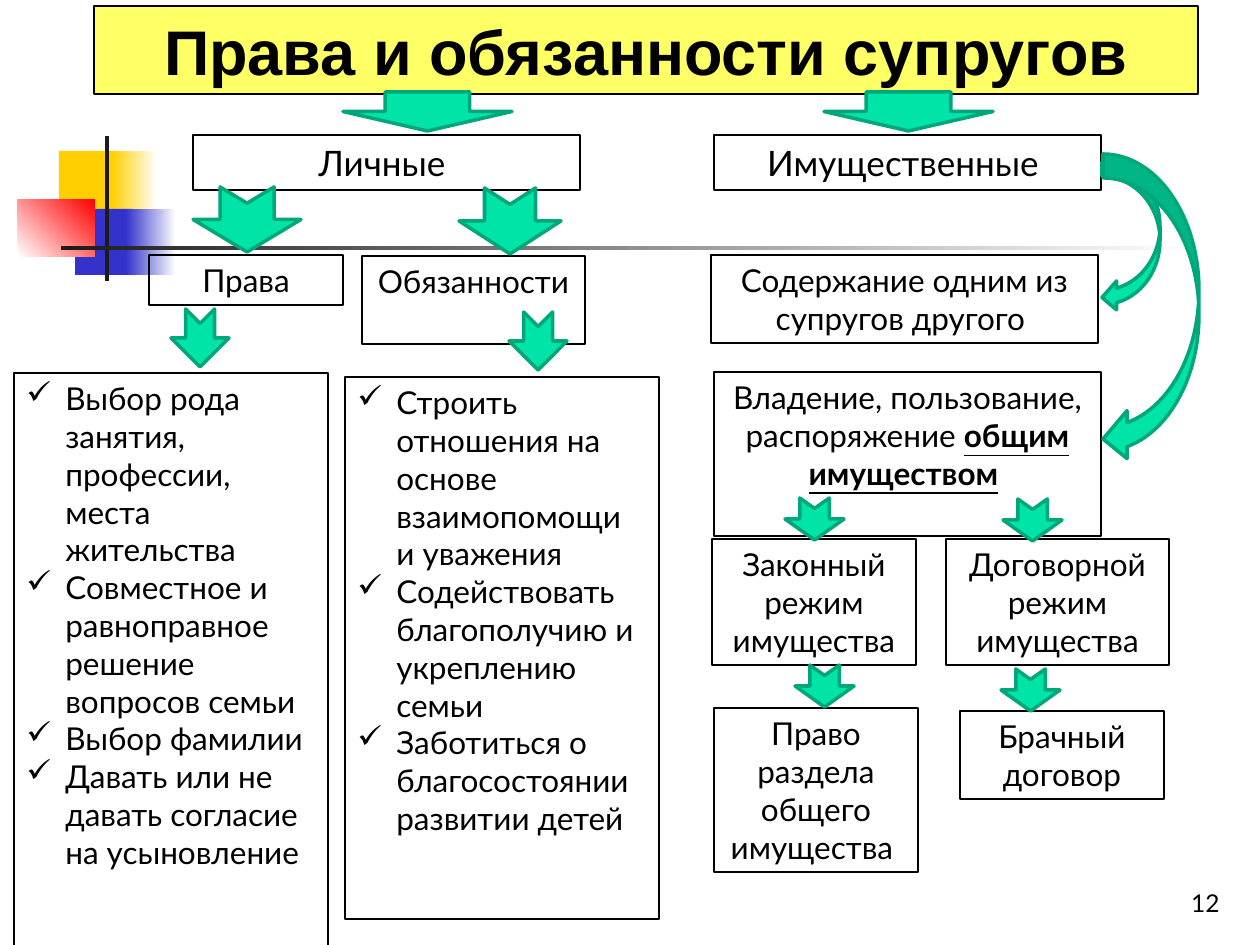
from dataclasses import dataclass

from lxml.etree import SubElement
from pptx import Presentation
from pptx.dml.color import RGBColor
from pptx.enum.shapes import MSO_SHAPE
from pptx.enum.text import MSO_ANCHOR, PP_ALIGN
from pptx.oxml.ns import qn
from pptx.util import Pt

EMU_PER_PX = 914400 / 126


@dataclass(frozen=True)
class Theme:
    ink: str = "000000"
    paper: str = "FFFFFF"
    banner: str = "FFFF66"
    arrow: str = "00E4A8"
    arrow_edge: str = "00A77A"
    yellow: str = "FFCF01"
    blue: str = "3333CC"
    red: str = "FF0000"
    bar: str = "1C1C1C"
    title_font: str = "Arial"
    body_font: str = "Lato"
    title_size: int = 36
    header_size: int = 20
    body_size: int = 18
    number_size: int = 14
    title_edge: float = 0.75
    box_edge: float = 1.5
    arrow_line: float = 2


THEME = Theme()


@dataclass(frozen=True)
class Box:
    left: int
    top: int
    width: int
    height: int

    def inner(self, left, top, width, height):
        return Box(self.left + left, self.top + top, width, height)

    def emu(self):
        return [emu(side) for side in (self.left, self.top, self.width, self.height)]


def emu(px):
    return round(px * EMU_PER_PX)


def color(code):
    return RGBColor.from_string(code)


def add_plain(page, box, kind=MSO_SHAPE.RECTANGLE, fill=None, edge=None, weight=1.5):
    shape = page.shapes.add_shape(kind, *box.emu())
    shape.shadow.inherit = False
    if fill:
        shape.fill.solid()
        shape.fill.fore_color.rgb = color(fill)
    else:
        shape.fill.background()
    if edge:
        shape.line.color.rgb = color(edge)
        shape.line.width = Pt(weight)
    else:
        shape.line.fill.background()
    return shape


def add_fade(page, box, start, end, angle=0):
    """Rectangle with a two-colour gradient; the angle runs counter-clockwise."""
    fill = add_plain(page, box).fill
    fill.gradient()
    fill.gradient_angle = angle
    for stop, code in zip(fill.gradient_stops, (start, end)):
        stop.color.rgb = color(code)


def style_para(para, size, font=THEME.body_font, align=PP_ALIGN.CENTER, bold=False):
    para.alignment = align
    for span in para.runs:
        span.font.name = font
        span.font.size = Pt(size)
        span.font.bold = bold
        span.font.color.rgb = color(THEME.ink)


def add_label(page, box, text, size=THEME.body_size):
    shape = add_plain(page, box, edge=THEME.ink, weight=THEME.box_edge)
    frame = shape.text_frame
    frame.word_wrap = True
    frame.vertical_anchor = MSO_ANCHOR.TOP
    frame.text = text
    for para in frame.paragraphs:
        style_para(para, size)
    return frame


def add_checklist(page, box, items):
    frame = add_label(page, box, "\n".join(items))
    for para in frame.paragraphs:
        para.alignment = PP_ALIGN.LEFT
        props = para._p.get_or_add_pPr()
        props.set("marL", str(emu(39)))
        props.set("indent", str(-emu(39)))
        tint = SubElement(props, qn("a:buClr"))
        SubElement(tint, qn("a:srgbClr"), val=THEME.ink)
        SubElement(props, qn("a:buChar"), char="✓")


def add_arrow(page, box, kind):
    return add_plain(page, box, kind, THEME.arrow, THEME.arrow_edge, THEME.arrow_line)


def add_turned_arrow(page, box, kind=MSO_SHAPE.NOTCHED_RIGHT_ARROW):
    """Arrow turned by a quarter so that it fills the given upright box."""
    shift = (box.width - box.height) / 2
    frame = Box(box.left + shift, box.top - shift, box.height, box.width)
    add_arrow(page, frame, kind).rotation = 90


def add_motif(page, box):
    for left, top, solid, fade, code in (
        (41, 15, 60, 45, THEME.yellow),
        (57, 73, 58, 50, THEME.blue),
    ):
        add_plain(page, box.inner(left, top, solid, 66), fill=code)
        add_fade(page, box.inner(left + solid - 7, top, fade, 66), code, THEME.paper)
    add_fade(page, box.inner(0, 63, 77, 58), THEME.paper, THEME.red, 45)
    add_plain(page, box.inner(87, 0, 4, 145), fill=THEME.bar)
    add_fade(page, box.inner(43, 110, 1134, 4), THEME.bar, THEME.paper)


def add_title(page, box):
    shape = add_plain(page, box, fill=THEME.banner, edge=THEME.ink, weight=THEME.title_edge)
    shape.text_frame.word_wrap = True
    shape.text_frame.vertical_anchor = MSO_ANCHOR.TOP
    shape.text_frame.text = "Права и обязанности супругов"
    style_para(shape.text_frame.paragraphs[0], THEME.title_size, THEME.title_font, bold=True)


def add_personal_branch(page, box):
    add_label(page, box.inner(179, 43, 387, 55), "Личные ", THEME.header_size)
    add_arrow(page, box.inner(329, 0, 169, 39), MSO_SHAPE.DOWN_ARROW)
    add_label(page, box.inner(135, 163, 194, 50), "Права")
    add_label(page, box.inner(348, 164, 223, 88), "Обязанности ")
    add_checklist(page, box.inner(0, 281, 314, 655), (
        "Выбор рода занятия, профессии, места жительства",
        "Совместное и равноправное решение вопросов семьи",
        "Выбор фамилии",
        "Давать или не давать согласие на усыновление",
    ))
    add_checklist(page, box.inner(331, 285, 314, 542), (
        "Строить отношения на основе взаимопомощи и уважения",
        "Содействовать благополучию и укреплению семьи",
        "Заботиться о благосостоянии развитии детей",
    ))
    for place in ((179, 95, 108, 65), (445, 96, 102, 66),
                  (157, 217, 58, 58), (495, 220, 58, 58)):
        add_turned_arrow(page, box.inner(*place))


def add_property_branch(page, box):
    add_label(page, box.inner(3, 43, 387, 55), "Имущественные ", THEME.header_size)
    add_arrow(page, box.inner(113, 0, 169, 39), MSO_SHAPE.DOWN_ARROW)
    add_label(page, box.inner(0, 163, 387, 88), "Содержание одним из супругов другого ")
    shared = add_label(page, box.inner(3, 280, 387, 164), "Владение, пользование, распоряжение ")
    para = shared.paragraphs[0]
    for text in ("общим", " ", "имуществом", " "):
        para.add_run().text = text
    style_para(para, THEME.body_size)
    for span in para.runs[1::2]:
        span.font.bold = span.font.underline = True
    for place in ((391, 70, 58, 150), (392, 62, 96, 309)):
        add_turned_arrow(page, box.inner(*place), MSO_SHAPE.CURVED_DOWN_ARROW)
    add_label(page, box.inner(1, 447, 204, 126), "Законный режим имущества")
    add_label(page, box.inner(235, 447, 223, 126), "Договорной режим имущества")
    add_label(page, box.inner(3, 616, 204, 164), "Право раздела общего имущества ")
    add_label(page, box.inner(249, 619, 204, 88), "Брачный договор")
    for left, top in ((74, 406), (292, 407), (84, 573), (290, 577)):
        add_turned_arrow(page, box.inner(left, top, 59, 42))


def add_page_number(page, box):
    frame = page.shapes.add_textbox(*box.emu()).text_frame
    frame.word_wrap = True
    frame.vertical_anchor = MSO_ANCHOR.BOTTOM
    frame.text = "12"
    style_para(frame.paragraphs[0], THEME.number_size, align=PP_ALIGN.RIGHT)


def main():
    deck = Presentation()
    deck.slide_width, deck.slide_height = emu(1260), emu(945)
    page = deck.slides.add_slide(deck.slide_layouts[6])
    add_motif(page, Box(18, 136, 1177, 145))
    add_page_number(page, Box(970, 861, 262, 63))
    add_title(page, Box(94, 6, 1104, 88))
    add_personal_branch(page, Box(14, 92, 645, 936))
    add_property_branch(page, Box(711, 92, 488, 780))
    deck.save("out.pptx")


if __name__ == "__main__":
    main()
